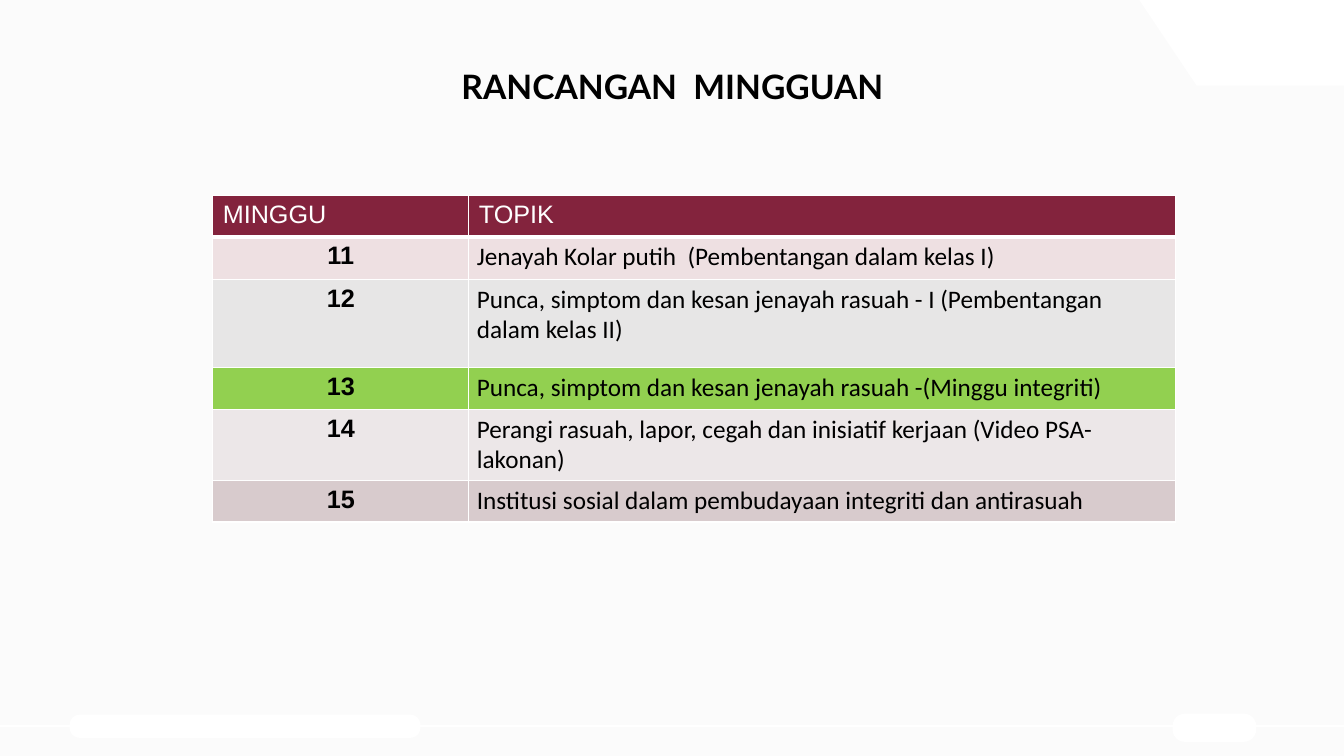
import pptx
import pptx.dml.color
import pptx.enum.shapes
import pptx.enum.text
import pptx.oxml
import pptx.oxml.ns
import pptx.util
from pptx.util import Inches

ALIGN = pptx.enum.text.PP_ALIGN
SHAPE = pptx.enum.shapes.MSO_SHAPE

# Content
TITLE = "RANCANGAN  MINGGUAN"
HEADERS = ("MINGGU", "TOPIK")
HEADER_FILL = "83233D"
# week, topic, row fill, row height, topic alignment
WEEKS = [
    ("11", "Jenayah Kolar putih  (Pembentangan dalam kelas I)", "EEE0E2", 0.42, ALIGN.LEFT),
    ("12", "Punca, simptom dan kesan jenayah rasuah - I (Pembentangan dalam kelas II)",
     "E7E6E6", 0.88, ALIGN.LEFT),
    ("13", "Punca, simptom dan kesan jenayah rasuah -(Minggu integriti)",
     "92D050", 0.41, ALIGN.JUSTIFY),
    ("14", "Perangi rasuah, lapor, cegah dan inisiatif kerjaan (Video PSA- lakonan)",
     "ECE7E8", 0.71, ALIGN.LEFT),
    ("15", "Institusi sosial dalam pembudayaan integriti dan antirasuah",
     "D8CBCD", 0.41, ALIGN.JUSTIFY),
]
COLUMN_WIDTHS = (2.54, 7.01)
HEADER_HEIGHT = 0.41
FOOTER_PILLS = [(0.69, 7.09, 3.48, 0.23), (11.63, 7.08, 0.83, 0.28)]
CORNER = [(11.3, 0), (13.33, 0), (13.33, 0.85), (11.87, 0.85)]


def color(code):
    return pptx.dml.color.RGBColor.from_string(code)


def paint(shape, code):
    shape.fill.solid()
    shape.fill.fore_color.rgb = color(code)
    shape.line.fill.background()
    shape.shadow.inherit = False


def write(para, text, font, size, code, bold, align):
    para.alignment = align
    span = para.add_run()
    span.text = text
    span.font.name = font
    span.font.size = pptx.util.Pt(size)
    span.font.bold = bold
    span.font.color.rgb = color(code)


def fill_cell(cell, text, fill, font, code, bold, align, side, top=1, bottom=1):
    cell.margin_left = cell.margin_right = Inches(side)
    cell.margin_top = cell.margin_bottom = Inches(0.05)
    properties = cell._tc.get_or_add_tcPr()
    for edge, width in (("L", 1), ("R", 1), ("T", top), ("B", bottom)):
        properties.append(pptx.oxml.parse_xml(
            f'<a:ln{edge} {pptx.oxml.ns.nsdecls("a")} w="{pptx.util.Pt(width)}">'
            f'<a:solidFill><a:srgbClr val="FFFFFF"/></a:solidFill></a:ln{edge}>'))
    cell.fill.solid()
    cell.fill.fore_color.rgb = color(fill)
    write(cell.text_frame.paragraphs[0], text, font, 18, code, bold, align)


deck = pptx.Presentation()
deck.slide_width, deck.slide_height = Inches(13.33), Inches(7.5)
page = deck.slides.add_slide(deck.slide_layouts[6])
page.background.fill.solid()
page.background.fill.fore_color.rgb = color("FBFBFB")

# Footer line and pills
footer_line = page.shapes.add_connector(
    pptx.enum.shapes.MSO_CONNECTOR.STRAIGHT, 0, Inches(7.2), Inches(13.33), Inches(7.2))
footer_line.line.color.rgb = color("FFFFFF")
footer_line.line.width = pptx.util.Pt(1.5)
footer_line._element.spPr.append(
    pptx.oxml.parse_xml(f'<a:effectLst {pptx.oxml.ns.nsdecls("a")}/>'))
for place in FOOTER_PILLS:
    pill = page.shapes.add_shape(SHAPE.ROUNDED_RECTANGLE, *map(Inches, place))
    pill.adjustments[0] = 0.44
    paint(pill, "FFFFFF")

# Top right corner
points = [(Inches(x), Inches(y)) for x, y in CORNER]
outline = page.shapes.build_freeform(*points[0])
outline.add_line_segments(points[1:], close=True)
paint(outline.convert_to_shape(), "FFFFFF")

# Title
box = page.shapes.add_textbox(Inches(0.67), Inches(0.6), Inches(12), Inches(0.7))
frame = box.text_frame
frame.word_wrap = True
frame.margin_left = frame.margin_right = Inches(0.1)
frame.margin_top = frame.margin_bottom = Inches(0.1)
frame.paragraphs[0].line_spacing = 0.9
write(frame.paragraphs[0], TITLE, "Lato", 24, "000000", True, ALIGN.CENTER)

# Weekly plan table
heights = [HEADER_HEIGHT] + [week[3] for week in WEEKS]
table = page.shapes.add_table(
    len(heights), len(COLUMN_WIDTHS), Inches(2.11), Inches(1.94),
    Inches(sum(COLUMN_WIDTHS)), Inches(sum(heights))).table
for column, width in zip(table.columns, COLUMN_WIDTHS):
    column.width = Inches(width)
for row, height in zip(table.rows, heights):
    row.height = Inches(height)
for index, header in enumerate(HEADERS):
    fill_cell(table.cell(0, index), header, HEADER_FILL, "Arial", "FFFFFF", False,
              ALIGN.LEFT, 0.1, bottom=3)
for index, (week, topic, fill, _, align) in enumerate(WEEKS, start=1):
    top = 3 if index == 1 else 1
    fill_cell(table.cell(index, 0), week, fill, "Arial", "000000", True,
              ALIGN.CENTER, 0.1, top)
    fill_cell(table.cell(index, 1), topic, fill, "Calibri", "000000", False,
              align, 0.08, top)

deck.save("out.pptx")
